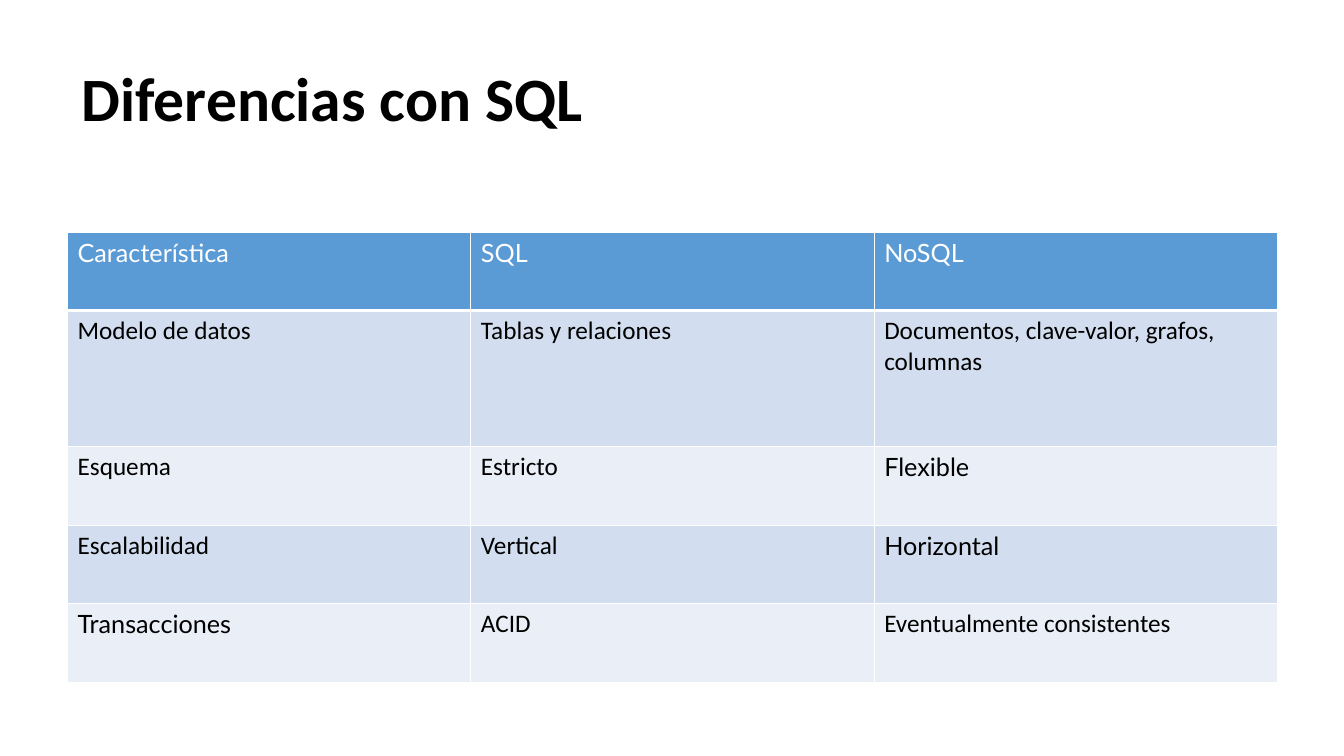
from lxml.etree import SubElement
from pptx import Presentation
from pptx.dml.color import RGBColor
from pptx.enum.text import MSO_ANCHOR as Anchor
from pptx.oxml.ns import qn
from pptx.util import Inches, Pt

TITLE = "Diferencias con SQL"
ROWS = [
    ("Característica", "SQL", "NoSQL"),
    ("Modelo de datos", "Tablas y relaciones",
     "Documentos, clave-valor, grafos, columnas"),
    ("Esquema", "Estricto", "Flexible"),
    ("Escalabilidad", "Vertical", "Horizontal"),
    ("Transacciones", "ACID", "Eventualmente consistentes"),
]
LATO = {*ROWS[0], "Flexible", "Horizontal", "Transacciones"}
HEIGHTS = [0.77, 1.35, 0.78, 0.78, 0.78]
WIDTH = 4
HEAD, BANDS = "5B9BD5", ("EAEFF7", "D2DEEF")
WHITE, BLACK = "FFFFFF", "000000"


def color(code):
    return RGBColor.from_string(code)


def write(frame, text, size, font, code, bold=False):
    para = frame.paragraphs[0]
    run = para.add_run()
    run.text = text
    run.font.size = Pt(size)
    run.font.name = font
    run.font.bold = bold
    run.font.color.rgb = color(code)
    return para


def edge(cell, **widths):
    """Draw white borders, keyed by side, with widths in points."""
    props = cell._tc.get_or_add_tcPr()
    for spot, (side, width) in enumerate(widths.items()):
        line = SubElement(props, qn(f"a:ln{side}"), w=str(Pt(width)))
        fill = SubElement(line, qn("a:solidFill"))
        SubElement(fill, qn("a:srgbClr"), val=WHITE)
        props.insert(spot, line)


def add_title(slide):
    box = slide.shapes.add_textbox(
        Inches(0.71), Inches(0.28), Inches(11.5), Inches(1.45))
    frame = box.text_frame
    frame.word_wrap = True
    frame.vertical_anchor = Anchor.MIDDLE
    write(frame, TITLE, 44, "Calibri", BLACK, True).line_spacing = 0.9


def add_grid(slide):
    cols = len(ROWS[0])
    table = slide.shapes.add_table(
        len(ROWS), cols, Inches(0.67), Inches(2.31),
        Inches(WIDTH * cols), Inches(sum(HEIGHTS))).table
    for col in table.columns:
        col.width = Inches(WIDTH)
    for r, (row, high) in enumerate(zip(ROWS, HEIGHTS)):
        table.rows[r].height = Inches(high)
        for c, text in enumerate(row):
            cell = table.cell(r, c)
            cell.fill.solid()
            cell.fill.fore_color.rgb = color(BANDS[r % 2] if r else HEAD)
            edge(cell, L=1, R=1, T=3 if r == 1 else 1, B=1 if r else 3)
            write(cell.text_frame, text, 18,
                  "Lato" if text in LATO else "Calibri",
                  BLACK if r else WHITE)


def main():
    deck = Presentation()
    deck.slide_width, deck.slide_height = Inches(13.33), Inches(7.5)
    slide = deck.slides.add_slide(deck.slide_layouts[6])
    add_title(slide)
    add_grid(slide)
    deck.save("out.pptx")


if __name__ == "__main__":
    main()
